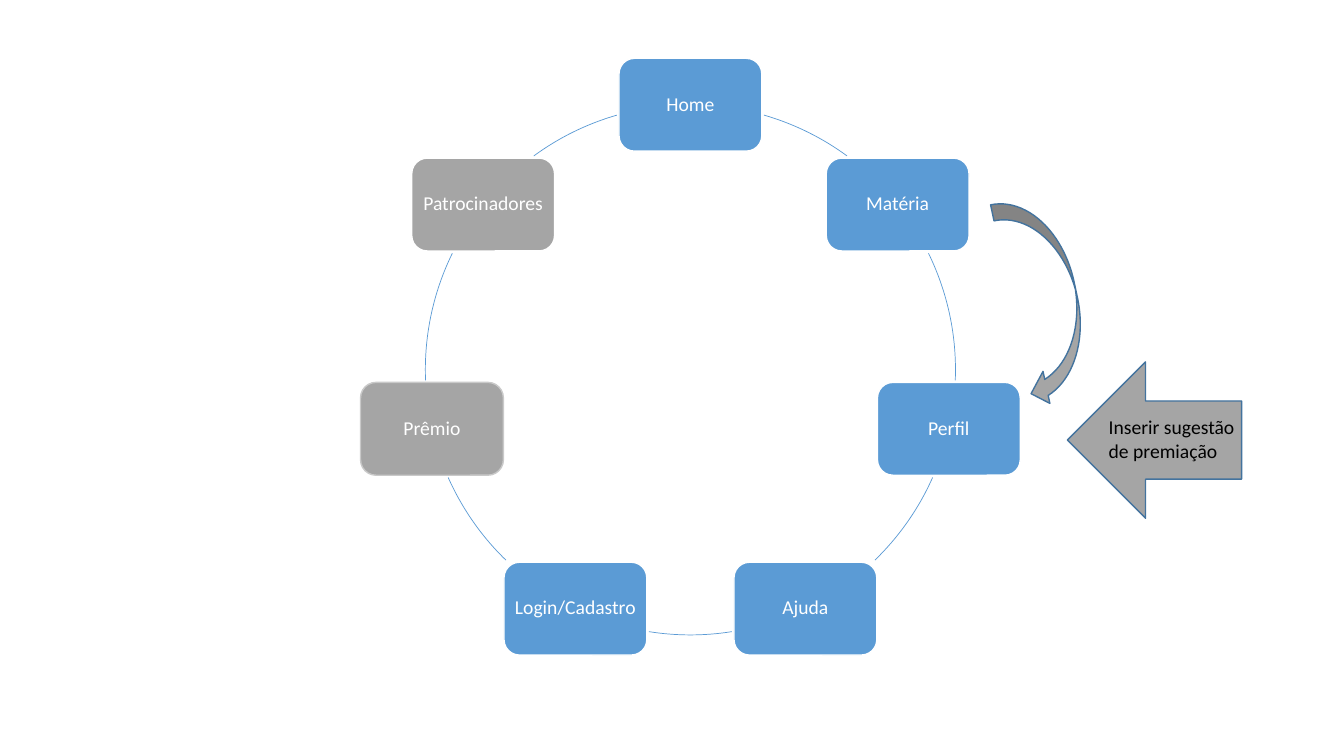
import math
from dataclasses import dataclass

import pptx
import pptx.dml.color
import pptx.enum.shapes
import pptx.enum.text
import pptx.util

Cm = pptx.util.Cm
Pt = pptx.util.Pt
SHAPE = pptx.enum.shapes.MSO_SHAPE
TEXT = pptx.enum.text


@dataclass(frozen=True)
class Theme:
    font: str = "Calibri"
    text_size: int = 14
    blue: str = "5B9BD5"
    gray: str = "A5A5A5"
    light_gray: str = "C9C9C9"
    dark_blue: str = "43739E"
    white: str = "FFFFFF"
    black: str = "000000"


def rgb(value):
    return pptx.dml.color.RGBColor.from_string(value)


def apply(target, formats):
    for name, value in formats.items():
        setattr(target, name, value)


class Painter:
    def __init__(self, page, theme):
        self.page = page
        self.theme = theme

    def shape(self, kind, area, fill, line, weight=1):
        """Add a preset shape; area is left, top, width, height in cm."""
        shape = self.page.shapes.add_shape(kind, *map(Cm, area))
        shape.shadow.inherit = False
        if fill:
            shape.fill.solid()
            shape.fill.fore_color.rgb = rgb(fill)
        else:
            shape.fill.background()
        shape.line.color.rgb = rgb(line)
        shape.line.width = Pt(weight)
        return shape

    def put_text(self, shape, text, color, frame_format, para_format):
        frame = shape.text_frame
        apply(frame, {"word_wrap": True, **frame_format})
        para = frame.paragraphs[0]
        apply(para, para_format)
        span = para.add_run()
        span.text = text
        apply(span.font, {"name": self.theme.font, "size": Pt(self.theme.text_size)})
        span.font.color.rgb = rgb(color)

    def station(self, text, area, fill, line):
        box = self.shape(SHAPE.ROUNDED_RECTANGLE, area, fill, line)
        sides = ("left", "top", "right", "bottom")
        frame_format = {f"margin_{side}": Cm(0.15) for side in sides}
        frame_format["vertical_anchor"] = TEXT.MSO_ANCHOR.MIDDLE
        para_format = {"alignment": TEXT.PP_ALIGN.CENTER, "line_spacing": 0.9}
        self.put_text(box, text, self.theme.white, frame_format, para_format)

    def arc(self, area, start, end):
        """Draw the part of an ellipse clockwise between two angles in degrees."""
        arc = self.shape(SHAPE.ARC, area, None, self.theme.blue, 0.5)
        for index, angle in enumerate((start, end)):
            arc.adjustments[index] = (angle % 360) * 0.6

    def label(self, text, area):
        box = self.page.shapes.add_textbox(*map(Cm, area))
        frame_format = {"auto_size": TEXT.MSO_AUTO_SIZE.SHAPE_TO_FIT_TEXT}
        self.put_text(box, text, self.theme.black, frame_format, {})


CENTER_X, CENTER_Y, RADIUS = 17.4, 9.32, 6.68
BOX_WIDTH, BOX_HEIGHT, GAP = 3.6, 2.34, 0.05


def ring_point(angle):
    radians = math.radians(angle)
    return CENTER_X + RADIUS * math.cos(radians), CENTER_Y + RADIUS * math.sin(radians)


def leave_box(angle, step):
    """Follow the ring from a box centre to the angle where it clears the box."""
    box_x, box_y = ring_point(angle)
    x, y = box_x, box_y
    while abs(x - box_x) < BOX_WIDTH / 2 + GAP and abs(y - box_y) < BOX_HEIGHT / 2 + GAP:
        angle += step
        x, y = ring_point(angle)
    return angle


def draw_ring(painter):
    theme = painter.theme
    stations = [
        ("Home", theme.blue, theme.white),
        ("Matéria", theme.blue, theme.white),
        ("Perfil", theme.blue, theme.white),
        ("Ajuda", theme.blue, theme.white),
        ("Login/Cadastro", theme.blue, theme.white),
        ("Prêmio", theme.gray, theme.light_gray),
        ("Patrocinadores", theme.gray, theme.white),
    ]
    ring_area = (CENTER_X - RADIUS, CENTER_Y - RADIUS, 2 * RADIUS, 2 * RADIUS)
    turn = 360 / len(stations)
    for index, (text, fill, line) in enumerate(stations):
        angle = index * turn - 90
        x, y = ring_point(angle)
        area = (x - BOX_WIDTH / 2, y - BOX_HEIGHT / 2, BOX_WIDTH, BOX_HEIGHT)
        painter.station(text, area, fill, line)
        painter.arc(ring_area, leave_box(angle, 0.1), leave_box(angle + turn, -0.1))


def draw_suggestion(painter):
    theme = painter.theme
    curve = painter.shape(
        SHAPE.CURVED_LEFT_ARROW, (25.5, 4.93, 1.65, 5.28), theme.gray, theme.dark_blue
    )
    curve.rotation = 347.9
    painter.shape(SHAPE.LEFT_ARROW, (26.9, 9.12, 4.39, 3.94), theme.gray, theme.dark_blue)
    painter.label("Inserir sugestão de premiação", (27.69, 10.34, 3.96, 1.45))


def main():
    deck = pptx.Presentation()
    apply(deck, {"slide_width": Cm(33.87), "slide_height": Cm(19.05)})
    page = deck.slides.add_slide(deck.slide_layouts[6])
    painter = Painter(page, Theme())
    draw_ring(painter)
    draw_suggestion(painter)
    deck.save("out.pptx")


if __name__ == "__main__":
    main()
